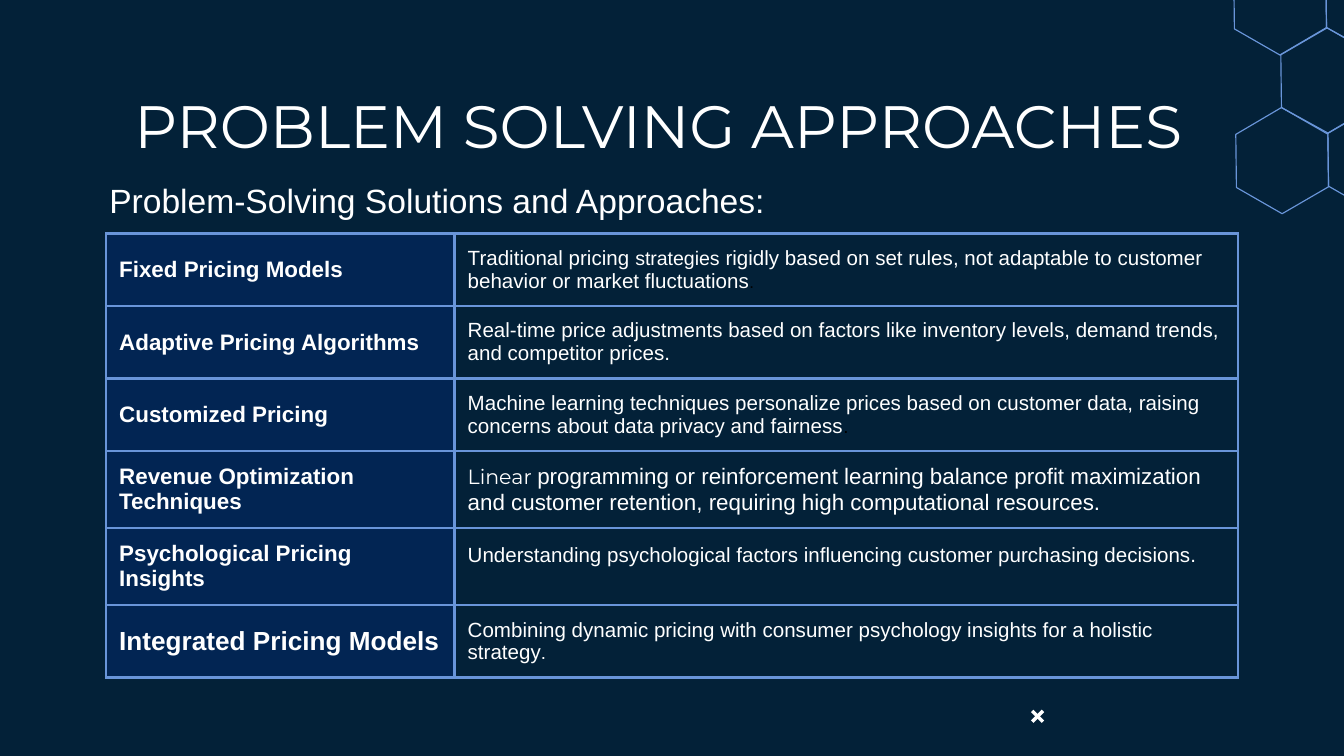
from typing import NamedTuple

from lxml.etree import SubElement
from pptx import Presentation
from pptx.dml.color import RGBColor
from pptx.enum.shapes import MSO_CONNECTOR as Connector
from pptx.enum.text import MSO_ANCHOR as Anchor, PP_ALIGN as Align
from pptx.oxml.ns import qn
from pptx.util import Emu, Inches, Pt

# The grid has square cells of a tenth of an inch
COLUMNS, ROWS = 100, 56.25
CELL = Inches(0.1)
BACKGROUND, WHITE, BLACK = "032138", "FFFFFF", "000000"
LINE_BLUE, LABEL_BLUE = "6995D9", "002E8A"


class Run(NamedTuple):
    text: str
    size: float = 11
    font: str = "Arial"
    color: str = WHITE
    bold: bool = False


class Approach(NamedTuple):
    label: Run
    description: list[Run]
    height: float = 5.4
    anchor: Anchor = Anchor.MIDDLE


class Point(NamedTuple):
    column: float
    row: float


def label(text: str, size: float = 12) -> Run:
    return Run(text, size, bold=True)


APPROACHES = [
    Approach(label("Fixed Pricing Models"), [
        Run("Traditional pricing "), Run("strategies", 10.5),
        Run(" rigidly based on set rules, not adaptable to customer behavior or market fluctuations"),
        Run(".", 9, color=BLACK)]),
    Approach(label("Adaptive Pricing Algorithms"), [
        Run("Real-time price adjustments based on factors like inventory levels, "
            "demand trends, and competitor prices.")]),
    Approach(label("Customized Pricing"), [
        Run("Machine learning techniques personalize prices based on customer data, "
            "raising concerns about data privacy and fairness"),
        Run(".", 10, color=BLACK)]),
    Approach(label("Revenue Optimization Techniques"), [
        Run("Linear ", font="Montserrat"),
        Run("programming or reinforcement learning balance profit maximization "
            "and customer retention, requiring high computational resources.", 12)], 5.73),
    Approach(label("Psychological Pricing Insights"), [
        Run("Understanding psychological factors influencing customer purchasing decisions.")],
        5.73, Anchor.TOP),
    Approach(label("Integrated Pricing Models", 14), [
        Run("Combining dynamic pricing with consumer psychology insights for a holistic strategy"),
        Run(".", 10)]),
]

# Hexagon lattice: first centre, two steps, and corners around a centre
FIRST_CENTER = Point(95.4, 11.95)
STEP_RIGHT, STEP_UP = Point(6.85, -0.1), Point(3.35, -5.95)
LATTICE = [(0, 0), (1, 0), (0, 1), (-1, 2), (0, 2)]
CORNERS = [Point(3.4, -2.05), Point(3.45, 1.95), Point(0, 3.95),
           Point(-3.4, 2), Point(-3.45, -1.95), Point(-0.05, -3.95)]


def grid(cells: float) -> Emu:
    return Emu(round(cells * CELL))


def rgb(color: str) -> RGBColor:
    return RGBColor.from_string(color)


def write(frame, runs: list[Run], *, align=Align.LEFT) -> None:
    paragraph = frame.paragraphs[0]
    paragraph.alignment = align
    for item in runs:
        run = paragraph.add_run()
        run.text = item.text
        run.font.size, run.font.name, run.font.bold = Pt(item.size), item.font, item.bold
        run.font.color.rgb = rgb(item.color)


def add_text(slide, box: tuple, run: Run, *, align=Align.LEFT, anchor=Anchor.TOP) -> None:
    frame = slide.shapes.add_textbox(*map(grid, box)).text_frame
    frame.word_wrap = True
    frame.vertical_anchor = anchor
    frame.margin_left = frame.margin_right = frame.margin_top = frame.margin_bottom = grid(1)
    write(frame, [run], align=align)


def add_hexagon(slide, center: Point) -> None:
    points = [(grid(center.column + c), grid(center.row + r)) for c, r in CORNERS]
    builder = slide.shapes.build_freeform(*points[0])
    builder.add_line_segments(points[1:], close=True)
    shape = builder.convert_to_shape()
    shape.shadow.inherit = False
    shape.fill.background()
    shape.line.color.rgb, shape.line.width = rgb(LINE_BLUE), Pt(0.61)


def add_line(slide, start: Point, end: Point) -> None:
    line = slide.shapes.add_connector(Connector.STRAIGHT, *map(grid, start + end))
    line.line.color.rgb, line.line.width = rgb(WHITE), Pt(1.84)
    SubElement(line._element.spPr, qn("a:effectLst"))


def add_borders(cell) -> None:
    properties = cell._tc.get_or_add_tcPr()
    for position, side in enumerate(("lnL", "lnR", "lnT", "lnB")):
        border = properties.makeelement(qn(f"a:{side}"), {"w": str(Pt(1.5))})
        fill = SubElement(border, qn("a:solidFill"))
        SubElement(fill, qn("a:srgbClr"), val=LINE_BLUE)
        properties.insert(position, border)


def format_cell(cell, runs: list[Run], anchor=Anchor.MIDDLE) -> None:
    cell.margin_left = cell.margin_right = grid(0.97)
    cell.margin_top = cell.margin_bottom = grid(1.2 if anchor == Anchor.TOP else 0.75)
    cell.vertical_anchor = anchor
    cell.fill.background()
    write(cell.text_frame, runs)
    add_borders(cell)


def add_approaches(slide, left: float, top: float, widths: tuple[float, float]) -> None:
    height = sum(approach.height for approach in APPROACHES)
    table = slide.shapes.add_table(len(APPROACHES), 2, grid(left), grid(top),
                                   grid(sum(widths)), grid(height)).table
    table.first_row = table.horz_banding = False
    for column, width in zip(table.columns, widths):
        column.width = grid(width)
    for row, approach in zip(table.rows, APPROACHES):
        row.height = grid(approach.height)
        name, description = row.cells
        format_cell(name, [approach.label])
        name.fill.solid()
        name.fill.fore_color.rgb = rgb(LABEL_BLUE)
        color = name._tc.tcPr.find(qn("a:solidFill")).find(qn("a:srgbClr"))
        SubElement(color, qn("a:alpha"), val="33000")
        format_cell(description, approach.description, approach.anchor)


def main() -> None:
    presentation = Presentation()
    presentation.slide_width, presentation.slide_height = grid(COLUMNS), grid(ROWS)
    slide = presentation.slides.add_slide(presentation.slide_layouts[6])
    slide.background.fill.solid()
    slide.background.fill.fore_color.rgb = rgb(BACKGROUND)

    # Hexagons in the top right corner
    for right, up in LATTICE:
        add_hexagon(slide, Point(*(start + right * across + up * rise for start, across, rise
                                   in zip(FIRST_CENTER, STEP_RIGHT, STEP_UP))))

    # Headings and table
    add_text(slide, (3.8, 5.6, 90.4, 6.3), Run("PROBLEM SOLVING APPROACHES", 32, "Montserrat"),
             align=Align.CENTER)
    add_approaches(slide, 7.9, 17.37, (25.93, 58.3))
    add_text(slide, (7.15, 12.35, 80, 5), Run("Problem-Solving Solutions and Approaches:", 18),
             anchor=Anchor.MIDDLE)

    # Small cross below the table
    left, top, size = 76.8, 52.9, 0.8
    add_line(slide, Point(left, top + size), Point(left + size, top))
    add_line(slide, Point(left, top), Point(left + size, top + size))
    presentation.save("out.pptx")


if __name__ == "__main__":
    main()
